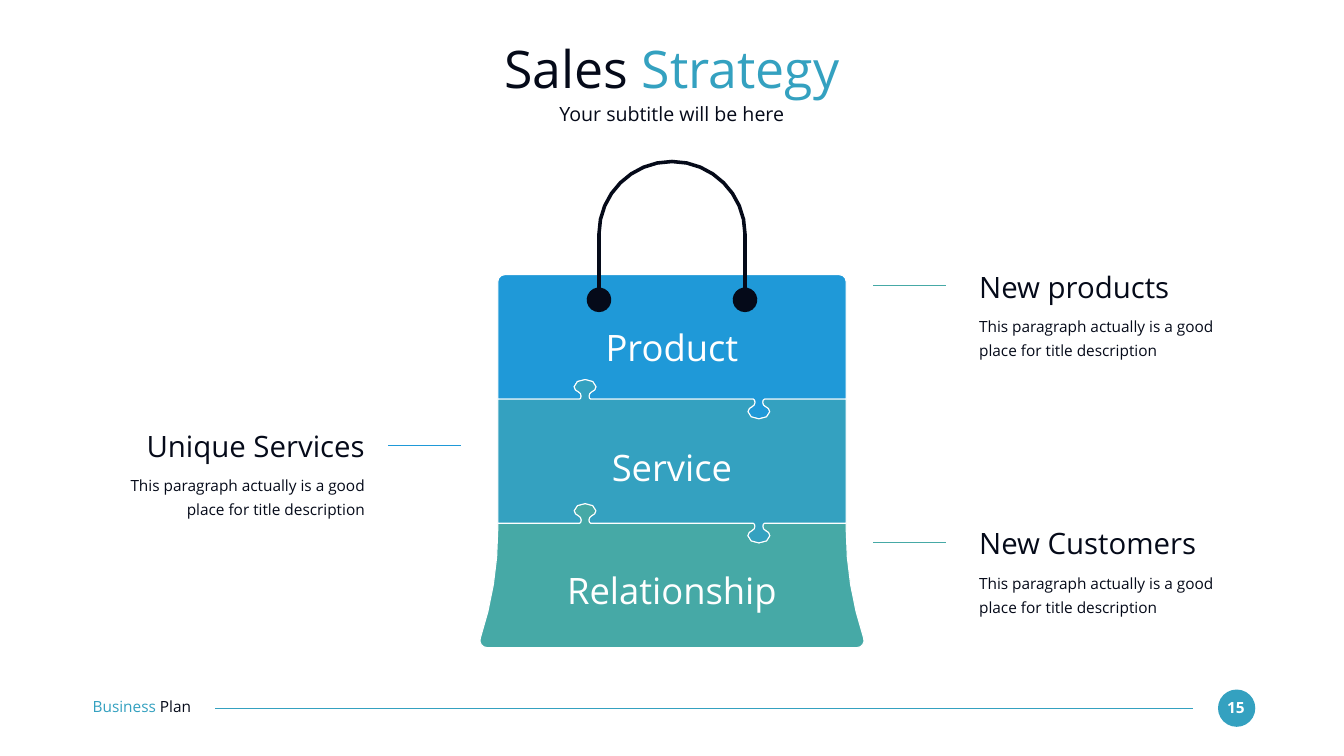
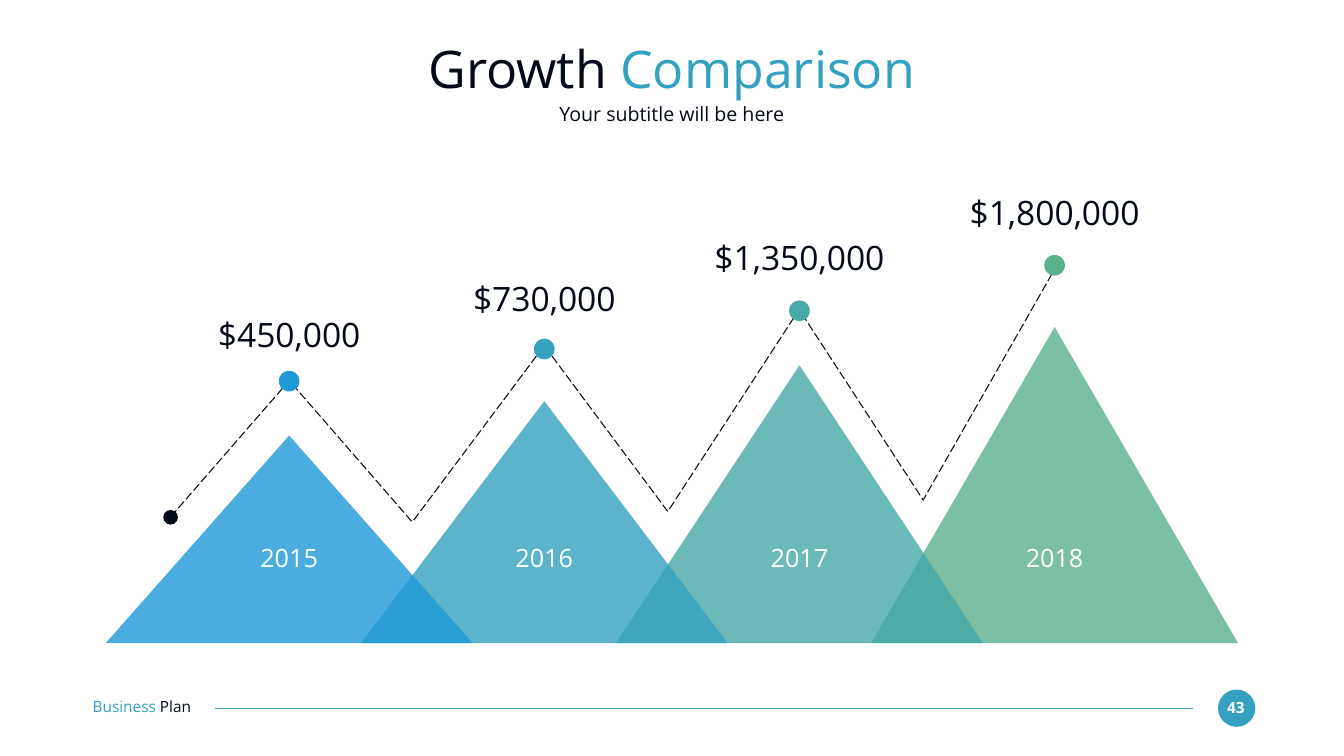
import math

from lxml import etree
from pptx import Presentation
from pptx.dml.color import RGBColor
from pptx.enum import dml, shapes, text
from pptx.oxml import ns
from pptx.util import Cm, Pt

FONT = "Open Sans"
INK, WHITE = "050A19", "FFFFFF"
BLUE, CYAN, TEAL, GREEN = "1F99D8", "34A1C0", "46A9A6", "5BB18E"
LEFT, CENTER, RIGHT = text.PP_ALIGN.LEFT, text.PP_ALIGN.CENTER, text.PP_ALIGN.RIGHT

MARGIN, SLIDE_WIDTH, SLIDE_HEIGHT = 4.65, 67.74, 38.1
MIDDLE = SLIDE_WIDTH / 2
DESCRIPTION = "This paragraph actually is a good place for title description"

# Bag outline: x is measured from the middle of the slide.
BAG_HALF, BAG_TOP, BAG_BOTTOM = 8.78, 13.84, 32.64
SEAMS = (20.12, 26.37)
TAB_OFFSET = 4.38

PEAK_LEFT, PEAK_STEP, PEAK_WIDTH, PEAK_BASE = 5.33, 12.86, 18.49, 32.41
PEAKS = [  # year, amount, colour, height, top of amount, top of dot
    ("2015", "$450,000", BLUE, 10.46, 15.82, 18.69),
    ("2016", "$730,000", CYAN, 12.19, 14.0, 17.07),
    ("2017", "$1,350,000", TEAL, 14.0, 11.94, 15.14),
    ("2018", "$1,800,000", GREEN, 15.93, 9.68, 12.85),
]
TREND = [(8.61, 26.04), (14.58, 19.18), (20.78, 26.31), (27.43, 17.42),
         (33.66, 25.78), (40.28, 15.6), (46.53, 25.2), (53.16, 13.56)]


def rgb(hex_colour):
    return RGBColor.from_string(hex_colour)


def add_text(slide, x, y, width, height, runs, size, align=CENTER, bold=False, spacing=None):
    """Add one paragraph; runs is a list of (wording, colour)."""
    frame = slide.shapes.add_textbox(Cm(x), Cm(y), Cm(width), Cm(height)).text_frame
    frame.word_wrap = True
    frame.margin_left = frame.margin_right = frame.margin_top = frame.margin_bottom = 0
    paragraph = frame.paragraphs[0]
    paragraph.alignment = align
    if spacing:
        paragraph.line_spacing = spacing
    for wording, colour in runs:
        run = paragraph.add_run()
        run.text = wording
        run.font.name, run.font.size, run.font.bold = FONT, Pt(size), bold
        run.font.color.rgb = rgb(colour)


def paint(shape, fill=None, line=None):
    shape.shadow.inherit = False
    if fill:
        shape.fill.solid()
        shape.fill.fore_color.rgb = rgb(fill)
    else:
        shape.fill.background()
    if line:
        shape.line.color.rgb = rgb(line)
        shape.line.width = Pt(1.5)
    else:
        shape.line.fill.background()
    return shape


def add_preset(slide, kind, x, y, width, height, fill):
    return paint(slide.shapes.add_shape(kind, Cm(x), Cm(y), Cm(width), Cm(height)), fill)


def add_dot(slide, x, y, size, fill):
    add_preset(slide, shapes.MSO_SHAPE.OVAL, x, y, size, size, fill)


def set_opacity(shape, percent):
    colour = shape.fill._xPr.find(".//" + ns.qn("a:srgbClr"))
    etree.SubElement(colour, ns.qn("a:alpha"), val=str(percent * 1000))


def add_rule(slide, x1, x2, y, colour):
    rule = slide.shapes.add_connector(shapes.MSO_CONNECTOR.STRAIGHT, Cm(x1), Cm(y), Cm(x2), Cm(y))
    rule.line.color.rgb = rgb(colour)
    rule.line.width = Pt(1.5)
    etree.SubElement(rule._element.spPr, ns.qn("a:effectLst"))


def add_outline(slide, points, fill=None, line=None, close=True):
    corners = [(Cm(x), Cm(y)) for x, y in points]
    builder = slide.shapes.build_freeform(*corners[0])
    builder.add_line_segments(corners[1:], close=close)
    return paint(builder.convert_to_shape(), fill, line)


def add_bag_part(slide, points, fill, line=None):
    add_outline(slide, [(MIDDLE + x, y) for x, y in points], fill, line)


def curve(steps, start, *segments):
    """Points along joined cubic Béziers; a segment is two controls and an end."""
    points = [start]
    for x1, y1, x2, y2, x3, y3 in segments:
        x0, y0 = points[-1]
        for i in range(1, steps + 1):
            t = i / steps
            a, b, c, d = (1 - t) ** 3, 3 * t * (1 - t) ** 2, 3 * t * t * (1 - t), t ** 3
            points.append((a * x0 + b * x1 + c * x2 + d * x3,
                           a * y0 + b * y1 + c * y2 + d * y3))
    return points


def mirrored(points):
    """The same outline on the other side of x = 0, walked backwards."""
    return [(-x, y) for x, y in reversed(points)]


def seam(y):
    """Left-to-right puzzle edge with one tab up and one tab down."""
    half = curve(2, (-0.28, 0), (-0.23, 0, -0.2, -0.08, -0.2, -0.16),
                 (-0.2, -0.25, -0.25, -0.33, -0.32, -0.36),
                 (-0.45, -0.41, -0.55, -0.51, -0.55, -0.63),
                 (-0.55, -0.84, -0.3, -0.99, 0, -0.99))
    tab = half + mirrored(half)[1:]
    tab_up = [(x - TAB_OFFSET, y + dy) for x, dy in tab]
    tab_down = [(x + TAB_OFFSET, y - dy) for x, dy in tab]
    return [(-BAG_HALF, y)] + tab_up + tab_down + [(BAG_HALF, y)]


def add_bag(slide):
    upper, lower = (seam(y) for y in SEAMS)
    corner = curve(3, (8.42, BAG_TOP), (8.62, BAG_TOP, BAG_HALF, 14.0, BAG_HALF, 14.2))
    flare = curve(4, (BAG_HALF, 26.7), (BAG_HALF, 28.55, 9.08, 30.4, 9.66, 32.16),
                  (9.74, 32.39, 9.57, BAG_BOTTOM, 9.31, BAG_BOTTOM))
    add_bag_part(slide, lower + flare + mirrored(flare), TEAL, WHITE)
    add_bag_part(slide, mirrored(corner) + corner + upper[::-1], BLUE, WHITE)
    add_bag_part(slide, upper + lower[::-1], CYAN, WHITE)

    outer = curve(8, (0, 8.05), (2.08, 8.05, 3.77, 9.73, 3.77, 11.79))
    inner = curve(8, (0, 8.23), (1.98, 8.23, 3.59, 9.83, 3.59, 11.79))
    knob = [(3.68 + 0.62 * math.cos(math.radians(a)), 15.11 + 0.62 * math.sin(math.radians(a)))
            for a in range(-81, 262, 19)]
    handle = outer + knob + inner[::-1]
    add_bag_part(slide, handle + mirrored(handle), INK)

    for wording, y in (("Product", 16.38), ("Service", 22.43), ("Relationship", 28.65)):
        add_text(slide, 27.18, y, 13.38, 2.24, [(wording, WHITE)], 52)


def add_callout(slide, heading, y, colour, align):
    """Rule at height y with a heading and description beside it."""
    x, rule_start, rule_end = (MARGIN, 23.22, 19.56) if align == RIGHT else (49.35, 47.68, 44.02)
    add_rule(slide, rule_start, rule_end, y, colour)
    add_text(slide, x, y - 0.86, 13.74, 1.8, [(heading, INK)], 42, align)
    add_text(slide, x, y + 1.3, 13.74, 2.34, [(DESCRIPTION, INK)], 22, align, spacing=1.3)


def add_page(deck, number, title_start, title_end):
    """New slide with its title, subtitle and footer."""
    slide = deck.slides.add_slide(deck.slide_layouts[6])
    add_dot(slide, 61.39, 34.75, 1.88, CYAN)
    add_text(slide, 61.54, 35.18, 1.5, 0.94, [(number, WHITE)], 22, bold=True)
    add_rule(slide, 60.12, 10.85, 35.69, CYAN)
    add_text(slide, 4.67, 35.15, 6.58, 0.94, [("Business ", CYAN), ("Plan", INK)], 22, LEFT)
    add_text(slide, MARGIN, 1.85, 58.42, 3.23, [(title_start, INK), (title_end, CYAN)], 74)
    add_text(slide, MARGIN, 5.16, 58.42, 1.24, [("Your subtitle will be here", INK)], 28)
    return slide


def add_growth(slide):
    lefts = [PEAK_LEFT + i * PEAK_STEP for i in range(len(PEAKS))]
    placed = list(zip(lefts, PEAKS))
    for x, (_, _, colour, height, _, _) in reversed(placed):
        peak = add_preset(slide, shapes.MSO_SHAPE.ISOSCELES_TRIANGLE, x, PEAK_BASE - height,
                          PEAK_WIDTH, height, colour)
        set_opacity(peak, 80)

    trend = add_outline(slide, TREND, line=INK, close=False)
    trend.line.dash_style = dml.MSO_LINE.LONG_DASH
    add_dot(slide, 8.23, 25.7, 0.74, INK)

    for x, (year, amount, colour, _, amount_top, dot_top) in placed:
        axis = x + PEAK_WIDTH / 2
        add_text(slide, axis - 3.06, 27.33, 6.12, 1.55, [(year, WHITE)], 36)
        add_text(slide, axis - 4.67, amount_top, 9.35, 2.06, [(amount, INK)], 48)
        add_dot(slide, axis - 0.52, dot_top, 1.04, colour)


def main():
    deck = Presentation()
    deck.slide_width, deck.slide_height = Cm(SLIDE_WIDTH), Cm(SLIDE_HEIGHT)

    strategy = add_page(deck, "15", "Sales ", "Strategy")
    add_bag(strategy)
    add_callout(strategy, "Unique Services", 22.43, BLUE, RIGHT)
    add_callout(strategy, "New Customers", 27.33, TEAL, LEFT)
    add_callout(strategy, "New products", 14.4, TEAL, LEFT)

    growth = add_page(deck, "43", "Growth ", "Comparison")
    add_growth(growth)

    deck.save("out.pptx")


if __name__ == "__main__":
    main()
